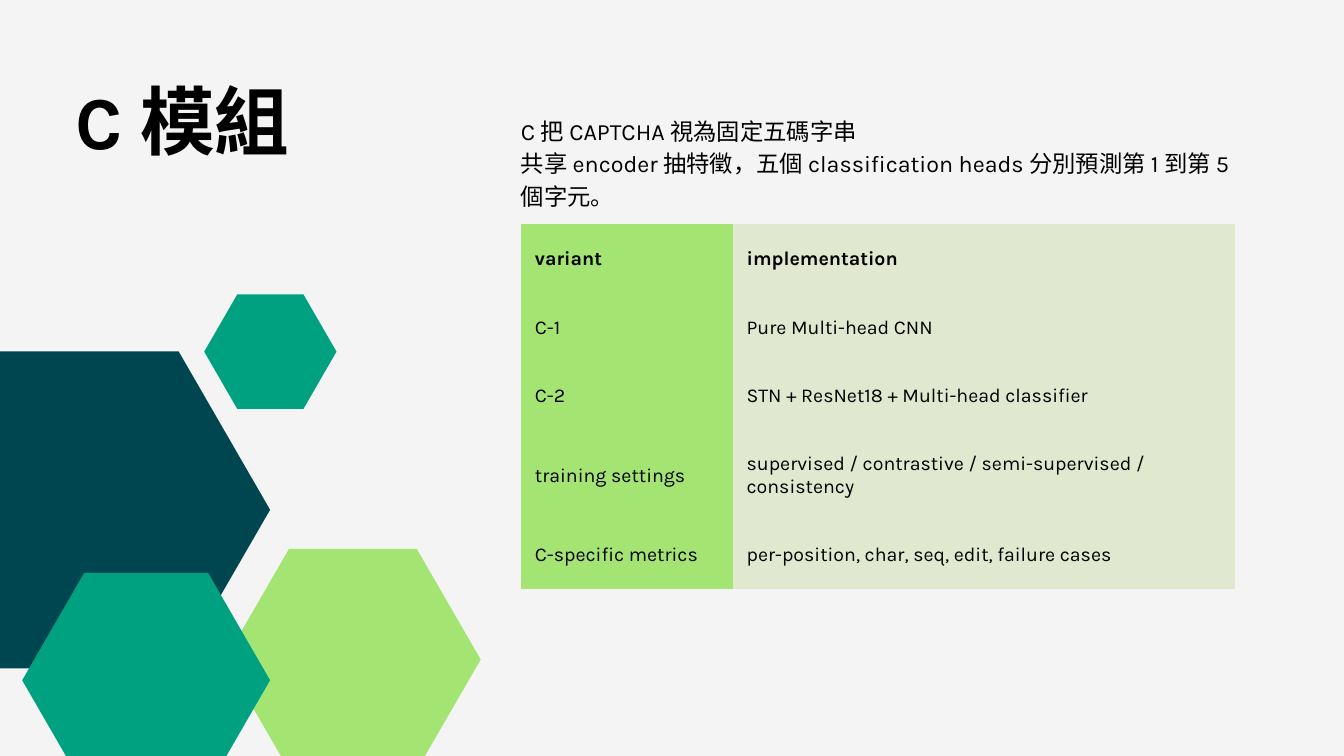
from dataclasses import dataclass
from math import sqrt

from lxml.etree import SubElement
from pptx import Presentation
from pptx.dml.color import RGBColor
from pptx.enum.shapes import MSO_SHAPE
from pptx.enum.text import MSO_ANCHOR, MSO_AUTO_SIZE, PP_ALIGN
from pptx.oxml.ns import qn
from pptx.util import Cm, Pt


@dataclass(frozen=True)
class Theme:
    """Colours, font and type sizes of the slide."""
    font: str = "Karla"
    background: str = "F4F4F4"
    text: str = "000000"
    navy: str = "004651"
    teal: str = "00A181"
    lime: str = "A4E473"
    sage: str = "E0E8CF"
    title_size: int = 80
    body_size: int = 25
    table_size: int = 21


THEME = Theme()

ROWS = [
    ("variant", "implementation"),
    ("C-1", "Pure Multi-head CNN"),
    ("C-2", "STN + ResNet18 + Multi-head classifier"),
    ("training settings", "supervised / contrastive / semi-supervised / consistency"),
    ("C-specific metrics", "per-position, char, seq, edit, failure cases"),
]


def paint(fill, color):
    """Make a fill solid in the given colour."""
    fill.solid()
    fill.fore_color.rgb = RGBColor.from_string(color)


def write(tf, *lines, size, leading, bold=False, tracking=0):
    """Write the lines as left-aligned paragraphs without bullets."""
    tf.word_wrap = True
    for i, line in enumerate(lines):
        p = tf.paragraphs[0] if i == 0 else tf.add_paragraph()
        pPr = p._p.get_or_add_pPr()
        pPr.set("marL", "0")
        pPr.set("indent", "0")
        SubElement(pPr, qn("a:buNone"))
        p.alignment = PP_ALIGN.LEFT
        p.space_before = Pt(0)
        p.line_spacing = Pt(leading)
        r = p.add_run()
        r.text = line
        r.font.name = THEME.font
        r.font.size = Pt(size)
        r.font.bold = bold
        r.font.color.rgb = RGBColor.from_string(THEME.text)
        if tracking:
            r._r.get_or_add_rPr().set("spc", str(round(tracking * 100)))


def place_text(sp, box, *lines, **style):
    """Move a placeholder to the box and fill it with text."""
    sp.left, sp.top, sp.width, sp.height = map(Cm, box)
    tf = sp.text_frame
    tf.margin_left = tf.margin_right = tf.margin_top = tf.margin_bottom = 0
    tf.vertical_anchor = MSO_ANCHOR.TOP
    tf.auto_size = MSO_AUTO_SIZE.NONE
    write(tf, *lines, **style)


def add_hexagon(s, left, top, width, color):
    """Add a regular hexagon with flat top and bottom edges."""
    sp = s.shapes.add_shape(MSO_SHAPE.HEXAGON, Cm(left), Cm(top),
                            Cm(width), Cm(width * sqrt(3) / 2))
    sp.adjustments[0] = 1 / (2 * sqrt(3))
    sp.shadow.inherit = False
    paint(sp.fill, color)
    sp.line.fill.background()


def add_hexagons(s, left, top):
    """Add the hexagon cluster relative to its corner."""
    for dx, dy, width, color in [
        (0, 2.15, 13.84, THEME.navy),
        (12.14, 9.62, 9.66, THEME.lime),
        (11.35, 0, 5, THEME.teal),
        (4.47, 10.53, 9.37, THEME.teal),
    ]:
        add_hexagon(s, left + dx, top + dy, width, color)


def fill_cell(cell, text, color, bold):
    """Format one borderless table cell and write its text."""
    tcPr = cell._tc.get_or_add_tcPr()
    for side in ("a:lnL", "a:lnR", "a:lnT", "a:lnB"):
        SubElement(SubElement(tcPr, qn(side), w="0"), qn("a:noFill"))
    paint(cell.fill, color)
    cell.vertical_anchor = MSO_ANCHOR.MIDDLE
    cell.margin_left = cell.margin_right = Cm(0.53)
    cell.margin_top = cell.margin_bottom = Cm(0.53)
    write(cell.text_frame, text, size=THEME.table_size, leading=25.2, bold=bold)


def add_variant_table(s, left, top, width, height):
    """Add the table of variants, with a taller row for training settings."""
    table = s.shapes.add_table(len(ROWS), 2, Cm(left), Cm(top),
                               Cm(width), Cm(height)).table
    table.first_row = table.horz_banding = False
    table.columns[0].width = Cm(8)
    table.columns[1].width = Cm(width - 8)
    tall = 3.38
    for i, row in enumerate(ROWS):
        is_tall = row[0] == "training settings"
        table.rows[i].height = Cm(tall if is_tall else (height - tall) / (len(ROWS) - 1))
        for j, color in enumerate((THEME.lime, THEME.sage)):
            fill_cell(table.cell(i, j), row[j], color, bold=i == 0)


def build_module_slide(prs):
    """Build the slide that presents module C."""
    s = prs.slides.add_slide(prs.slide_layouts[1])
    paint(s.background.fill, THEME.background)
    place_text(s.shapes.title, (2.84, 2.82, 15.32, 3.4), "C 模組",
               size=THEME.title_size, leading=96, bold=True, tracking=-0.8)
    add_hexagons(s, -3.63, 11.13)
    place_text(s.placeholders[1], (19.69, 4.24, 27, 3.61),
               "C 把 CAPTCHA 視為固定五碼字串",
               "共享 encoder 抽特徵，五個 classification heads 分別預測第 1 到第 5 個字元。",
               size=THEME.body_size, leading=35)
    add_variant_table(s, 19.69, 8.48, 27, 13.78)


def main():
    """Create the presentation and save it."""
    prs = Presentation()
    prs.slide_width, prs.slide_height = Cm(50.8), Cm(28.58)
    build_module_slide(prs)
    prs.save("out.pptx")


if __name__ == "__main__":
    main()
